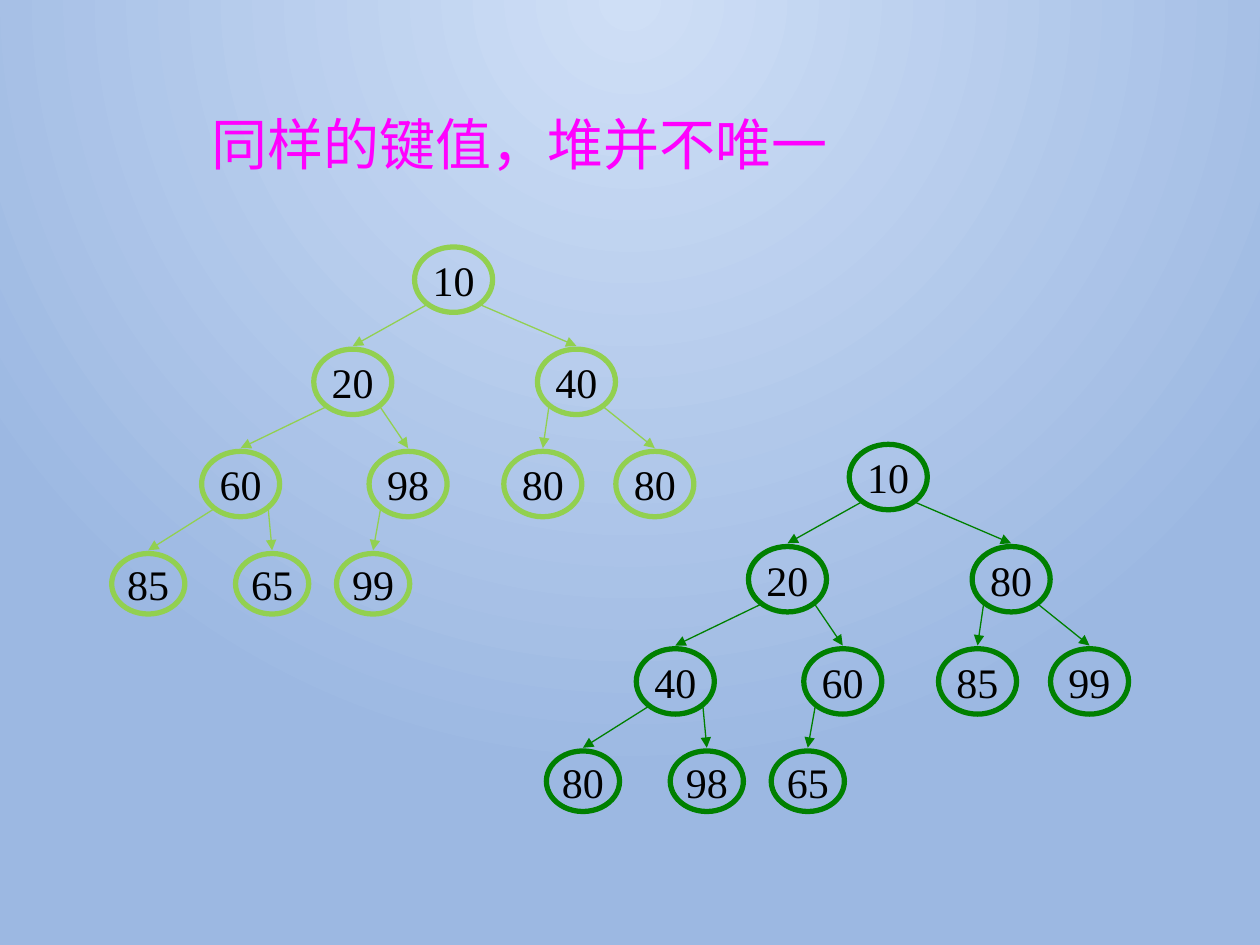
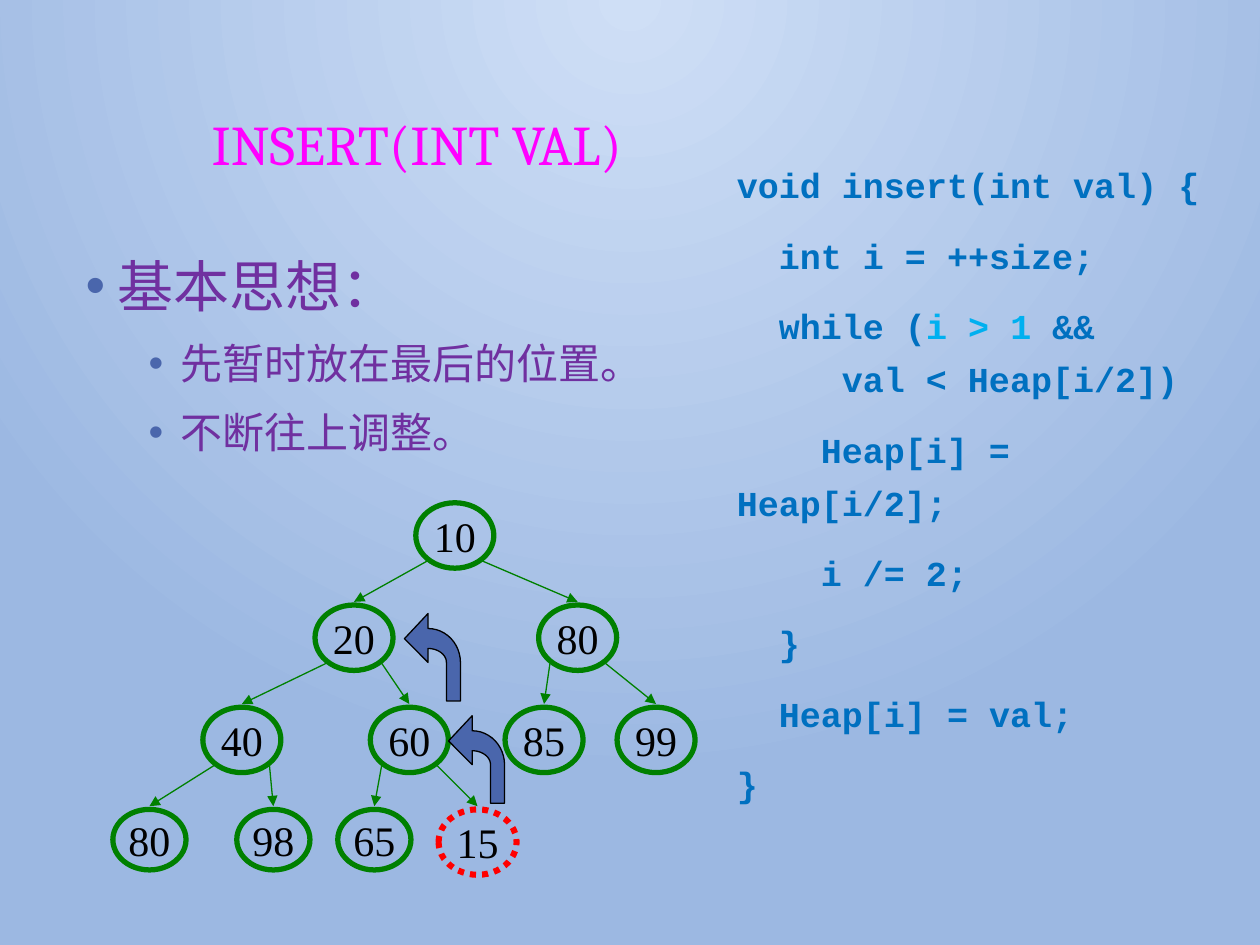
from math import cos, pi, sin
from lxml.etree import SubElement
from pptx import Presentation
from pptx.dml.color import RGBColor
from pptx.enum.dml import MSO_LINE
from pptx.enum.shapes import MSO_CONNECTOR, MSO_SHAPE
from pptx.enum.text import MSO_ANCHOR, PP_ALIGN
from pptx.oxml.ns import qn
from pptx.util import Pt

COLORS = {
    "bg_light": "CFDFF6", "bg_dark": "9CB8E2", "title": "FF00FF",
    "light_tree": "92D050", "dark_tree": "008000", "new_node": "FF0000",
    "key": "000000", "accent": "4A66AC", "idea": "7030A0",
    "code": "0070C0", "guard": "00B0F0",
}
COLORS = {name: RGBColor.from_string(value) for name, value in COLORS.items()}


def style(r, font, size, color, bold=None):
    """Format a run, with the same typeface for Latin and East Asian text."""
    r.font.name, r.font.size, r.font.bold = font, Pt(size), bold
    r.font.color.rgb = COLORS[color]
    SubElement(r._r.get_or_add_rPr(), qn("a:ea"), typeface=font)


# Node centres relative to the root, in heap order
ROW = 58.4
NODE_X = [0, -57.6, 70.2, -121.7, -26, 51, 115, -174.5, -103.7, -46, 13]
NODE_ROW = [0, 1, 1, 2, 2, 2, 2, 3, 3, 3, 3]
NODE_SIZE, LEAF_SIZE = (44.6, 37.4), (41.8, 34.6)


def draw_heap(s, keys, root_x, root_y, color, new_index=None):
    """Draw keys as a binary heap; the node at new_index is dotted."""
    shapes = s.shapes.add_group_shape().shapes
    for i, key in enumerate(keys):
        x = root_x + NODE_X[i]
        top = root_y - NODE_SIZE[1] / 2 + NODE_ROW[i] * ROW
        is_new = i == new_index
        w, h = LEAF_SIZE if NODE_ROW[i] == 3 and not is_new else NODE_SIZE
        node = shapes.add_shape(MSO_SHAPE.OVAL, Pt(x - w / 2), Pt(top), Pt(w), Pt(h))
        node.shadow.inherit = False
        node.fill.background()
        node.line.color.rgb = COLORS["new_node" if is_new else color]
        node.line.width = Pt(3.5 if is_new else 3)
        if is_new:
            node.line.dash_style = MSO_LINE.ROUND_DOT
        tf = node.text_frame
        tf.text = str(key)
        tf.word_wrap = False
        tf.vertical_anchor = MSO_ANCHOR.MIDDLE
        tf.paragraphs[0].alignment = PP_ALIGN.CENTER
        style(tf.paragraphs[0].runs[0], "Times New Roman", 24, "key")
        if i == 0:
            continue
        parent = (i - 1) // 2
        side = -1 if i % 2 else 1
        edge = shapes.add_connector(
            MSO_CONNECTOR.STRAIGHT,
            Pt(root_x + NODE_X[parent] + side * 15.8),
            Pt(root_y + NODE_ROW[parent] * ROW + 14.6), Pt(x), Pt(top - 1.8))
        edge.line.color.rgb = COLORS[color]
        edge.line.width = Pt(0.75)
        SubElement(edge.line._get_or_add_ln(), qn("a:tailEnd"), type="triangle")
        SubElement(edge._element.spPr, qn("a:effectLst"))


prs = Presentation()
prs.slide_width, prs.slide_height = Pt(720), Pt(540)

# Shared radial background, centred at the top edge
fill = prs.slide_master.background.fill
fill.gradient()
for stop, position, name in zip(fill.gradient_stops, (0, 1), ("bg_light", "bg_dark")):
    stop.position = position
    stop.color.rgb = COLORS[name]
grad = prs.slide_master.background._cSld.find(".//" + qn("a:gradFill"))
grad.remove(grad.find(qn("a:lin")))
radial = SubElement(grad, qn("a:path"), path="circle")
SubElement(radial, qn("a:fillToRect"), l="43000", t="0", r="43000", b="100000")

# Slides with their titles
slides = []
for title, font in [("同样的键值，堆并不唯一", "Noto Sans CJK SC"), ("INSERT(INT VAL)", "Cambria")]:
    s = prs.slides.add_slide(prs.slide_layouts[6])
    tf = s.shapes.add_textbox(Pt(113.8), Pt(63.4), Pt(517.7), Pt(82.8)).text_frame
    tf.word_wrap = True
    tf.text = title
    tf.paragraphs[0].line_spacing = 0.9
    style(tf.paragraphs[0].runs[0], font, 32, "title")
    slides.append(s)

# Slide 1: two heaps with the same keys
draw_heap(slides[0], [10, 20, 80, 40, 60, 85, 99, 80, 98, 65], 507.6, 272.6, "dark_tree")
draw_heap(slides[0], [10, 20, 40, 60, 98, 80, 80, 85, 65, 99], 259.2, 159.8, "light_tree")

# Slide 2: idea
s = slides[1]
tf = s.shapes.add_textbox(Pt(41.8), Pt(132.5), Pt(342), Pt(154.8)).text_frame
tf.word_wrap = True
tf.text = "基本思想：\n先暂时放在最后的位置。\n不断往上调整。"
for p, size, before, left in zip(tf.paragraphs, (32, 24, 24), (10, 5, 5), (18, 54, 54)):
    p.line_spacing = 1.2
    p.space_before = Pt(before)
    pPr = p._p.get_or_add_pPr()
    pPr.set("marL", str(Pt(left)))
    pPr.set("indent", str(Pt(-18)))
    bullet_color = SubElement(pPr, qn("a:buClr"))
    SubElement(bullet_color, qn("a:srgbClr"), val=str(COLORS["accent"]))
    SubElement(pPr, qn("a:buFont"), typeface="Arial")
    SubElement(pPr, qn("a:buChar"), char="•")
    style(p.runs[0], "Cabin", size, "idea")

# Slide 2: heap with the inserted key and its way up
draw_heap(s, [10, 20, 80, 40, 60, 85, 99, 80, 98, 65, 15], 259.9, 306, "dark_tree", new_index=10)
angles = [step * pi / 24 for step in range(13)]
outer = [(13.5 + 18.5 * sin(a), 28 - 19.4 * cos(a)) for a in angles]
inner = [(13.5 + 10.5 * sin(a), 28 - 8 * cos(a)) for a in reversed(angles)]
outline = [(0, 14.4), (13.5, 0), *outer, (32, 50), (24, 50), *inner, (13.5, 28)]
for left, top in [(256.3, 409), (231.1, 350.6)]:
    points = [(Pt(left + x), Pt(top + y)) for x, y in outline]
    builder = s.shapes.build_freeform(*points[0])
    builder.add_line_segments(points[1:], close=True)
    arrow = builder.convert_to_shape()
    arrow.shadow.inherit = False
    arrow.fill.solid()
    arrow.fill.fore_color.rgb = COLORS["accent"]
    arrow.line.color.rgb = COLORS["key"]
    arrow.line.width = Pt(0.75)

# Slide 2: code, as left margin, first-line indent and lines of run texts
CODE = [
    (0, 0, [["void insert(int val) {"]]),
    (24, 0, [["int i = ++size;"]]),
    (60, -36, [["while (", "i > 1 ", "&& "], ["val < Heap[i/2])"]]),
    (0, 48, [["Heap[i] = Heap[i/2];"]]),
    (48, 0, [["i /= 2;"]]),
    (24, 0, [["}"]]),
    (24, 0, [["Heap[i] = val;"]]),
    (0, 0, [["}"]]),
]
tf = s.shapes.add_textbox(Pt(414), Pt(81.4), Pt(301.5), Pt(328.3)).text_frame
tf.word_wrap = True
tf.margin_top = Pt(6)
for n, (margin, indent, lines) in enumerate(CODE):
    p = tf.add_paragraph() if n else tf.paragraphs[0]
    p.line_spacing = 1.26
    p.space_before = Pt(10)
    pPr = p._p.get_or_add_pPr()
    pPr.set("marL", str(Pt(margin)))
    pPr.set("indent", str(Pt(indent)))
    for k, texts in enumerate(lines):
        if k:
            p.add_line_break()
        for text in texts:
            r = p.add_run()
            r.text = text
            style(r, "Courier New", 20, "guard" if text == "i > 1 " else "code", bold=True)

prs.save("out.pptx")
